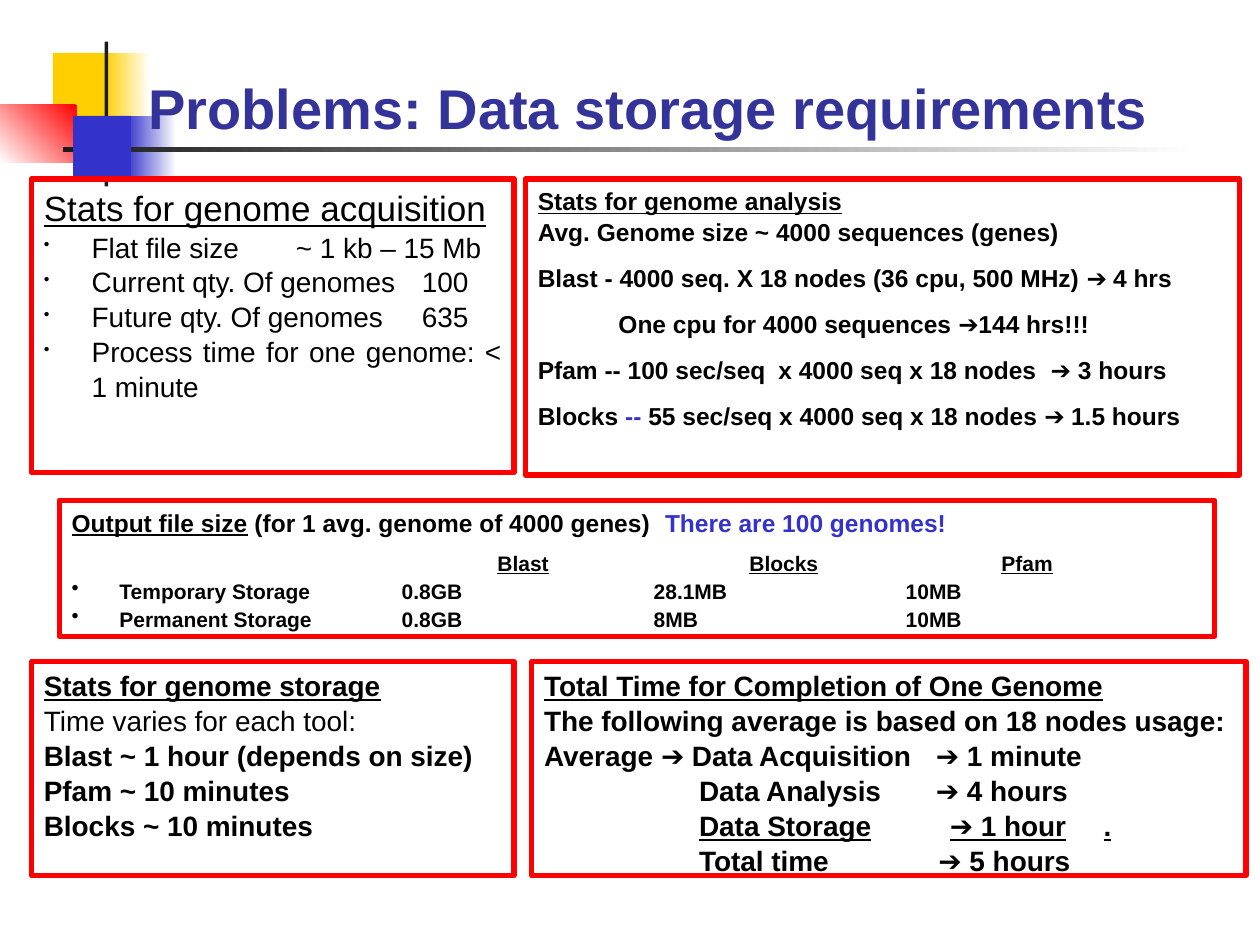
from pptx import Presentation
from pptx.dml.color import RGBColor
from pptx.enum.shapes import MSO_SHAPE
from pptx.enum.text import MSO_ANCHOR, PP_ALIGN
from pptx.oxml.ns import qn
from pptx.util import Inches, Pt
from lxml.etree import SubElement

BLACK = RGBColor(0x00, 0x00, 0x00)
WHITE = RGBColor(0xFF, 0xFF, 0xFF)
RED = RGBColor(0xFF, 0x00, 0x00)
GOLD = RGBColor(0xFF, 0xCF, 0x01)
BLUE = RGBColor(0x33, 0x33, 0xCC)
NAVY = RGBColor(0x33, 0x33, 0x99)
DARK = RGBColor(0x1C, 0x1C, 0x1C)
INDENT = 0.38


def add_rect(slide, box):
    rect = slide.shapes.add_shape(MSO_SHAPE.RECTANGLE, *map(Inches, box))
    rect.shadow.inherit = False
    return rect


def add_block(slide, box, color):
    rect = add_rect(slide, box)
    rect.fill.solid()
    rect.fill.fore_color.rgb = color
    rect.line.fill.background()


def add_fade(slide, box, first, last, angle=180):
    rect = add_rect(slide, box)
    rect.fill.gradient()
    rect.fill.gradient_angle = angle
    for stop, color in zip(rect.fill.gradient_stops, (first, last)):
        stop.color.rgb = color
    rect.line.fill.background()


def add_panel(slide, box):
    rect = add_rect(slide, box)
    rect.fill.background()
    rect.line.color.rgb = RED
    rect.line.width = Pt(3)
    frame = rect.text_frame
    frame.word_wrap = True
    frame.vertical_anchor = MSO_ANCHOR.TOP
    return frame


def add_line(frame, *parts, size=16, bold=True, under=False, color=BLACK,
             tabs=(), bullet=None, left=0, before=0):
    first = frame.paragraphs[0]
    para = frame.add_paragraph() if first.runs else first
    para.alignment = PP_ALIGN.JUSTIFY
    para.line_spacing = 1.04
    para.space_before = Pt(before)
    props = para._p.get_or_add_pPr()
    if bullet:
        left = INDENT
        props.set("indent", str(-Inches(INDENT)))
        SubElement(props, qn("a:buSzPct")).set("val", str(bullet * 1000))
        SubElement(props, qn("a:buChar")).set("char", "•")
    props.set("marL", str(Inches(left)))
    if tabs:
        stops = SubElement(props, qn("a:tabLst"))
        for place in tabs:
            stop = SubElement(stops, qn("a:tab"))
            stop.set("pos", str(Inches(place)))
            stop.set("algn", "l")
    font = para.font
    font.name = "Arial"
    font.size = Pt(size)
    font.bold = bold
    font.underline = under
    font.color.rgb = color
    for part in parts:
        text, line, tint = part if isinstance(part, tuple) else (part, None, None)
        run = para.add_run()
        run.text = text
        if line:
            run.font.underline = True
        if tint is not None:
            run.font.color.rgb = tint


def add_motif(slide, left, top):
    def at(x, y, width, height):
        return left + x, top + y, width, height

    add_block(slide, at(0.42, 0.09, 0.48, 0.52), GOLD)
    add_fade(slide, at(0.83, 0.09, 0.36, 0.52), WHITE, GOLD)
    add_fade(slide, at(1, 0.59, 0.4, 0.52), WHITE, BLUE)
    add_fade(slide, at(0, 0.5, 0.61, 0.46), RED, WHITE, 225)
    add_block(slide, at(0.83, 0, 0.03, 1.15), DARK)
    add_fade(slide, at(0.5, 0.84, 9, 0.04), WHITE, DARK)
    add_block(slide, at(0.58, 0.59, 0.46, 0.52), BLUE)


def add_title(slide, box):
    frame = slide.shapes.add_textbox(*map(Inches, box)).text_frame
    frame.word_wrap = True
    frame.vertical_anchor = MSO_ANCHOR.BOTTOM
    add_line(frame, "Problems: Data storage requirements", size=32, color=NAVY)


def add_intake(slide, box):
    frame = add_panel(slide, box)
    add_line(frame, "Stats for genome acquisition", size=20, bold=False, under=True)
    for text, tabs in (
        ("Flat file size\t~ 1 kb – 15 Mb", [1.29]),
        ("Current qty. Of genomes\t100", [2.6]),
        ("Future qty. Of genomes\t635", [2.44]),
        ("Process time for one genome: < 1 minute", []),
    ):
        add_line(frame, text, bold=False, tabs=tabs, bullet=60)


def add_study(slide, box):
    frame = add_panel(slide, box)
    add_line(frame, "Stats for genome analysis", size=14, under=True)
    add_line(frame, "Avg. Genome size ~ 4000 sequences (genes)", size=14)
    for parts, left, tabs in (
        (["Blast - 4000 seq. X 18 nodes (36 cpu, 500 MHz) ➔ 4 hrs"], 0, []),
        (["One cpu for 4000 sequences ➔144 hrs!!!"], 0.64, []),
        (["Pfam -- 100 sec/seq\tx 4000 seq x 18 nodes\t➔ 3 hours"], 0, [1.91, 4.07]),
        (["Blocks", (" --", False, BLUE),
          " 55 sec/seq x 4000 seq x 18 nodes ➔ 1.5 hours"], 0, []),
    ):
        add_line(frame, *parts, size=14, left=left, tabs=tabs, before=8.8)


def add_store(slide, box):
    frame = add_panel(slide, box)
    add_line(frame, "Stats for genome storage", under=True)
    add_line(frame, "Time varies for each tool:", bold=False)
    for text in ("Blast ~ 1 hour (depends on size)", "Pfam ~ 10 minutes",
                 "Blocks ~ 10 minutes"):
        add_line(frame, text)


def add_total(slide, box):
    frame = add_panel(slide, box)
    add_line(frame, "Total Time for Completion of One Genome", under=True)
    add_line(frame, "The following average is based on 18 nodes usage:")
    add_line(frame, "Average ➔ Data Acquisition\t➔ 1 minute", tabs=[3.11])
    add_line(frame, "\tData Analysis\t➔ 4 hours", tabs=[1.23, 3.11])
    add_line(frame, "\t", ("Data Storage\t➔ 1 hour\t.\t", True, None),
             tabs=[1.23, 3.22, 4.44, 5.19])
    add_line(frame, "\tTotal time\t➔ 5 hours", tabs=[1.23, 3.13])


def add_output(slide, box):
    frame = add_panel(slide, box)
    add_line(frame, ("Output file size", True, None),
             " (for 1 avg. genome of 4000 genes)\t",
             ("There are 100 genomes!", False, BLUE), size=14, tabs=[4.71])
    cols = [3, 5, 7]
    heads = []
    for name in ("Blast", "Blocks", "Pfam"):
        heads += ["\t", (name, True, None)]
    add_line(frame, *heads, size=12, tabs=[x + INDENT for x in cols], before=7)
    for row in (("Temporary Storage", "0.8GB", "28.1MB", "10MB"),
                ("Permanent Storage", "0.8GB", "8MB", "10MB")):
        add_line(frame, "\t".join(row), size=12, bullet=100,
                 tabs=[x - INDENT for x in cols], before=1)


def main():
    deck = Presentation()
    deck.slide_width = Inches(10)
    deck.slide_height = Inches(7.5)
    slide = deck.slides.add_slide(deck.slide_layouts[6])
    add_motif(slide, 0, 0.33)
    add_title(slide, (1.08, 0, 8.25, 1.17))
    add_intake(slide, (0.25, 1.42, 3.83, 2.33))
    add_study(slide, (4.17, 1.42, 5.67, 2.35))
    add_store(slide, (0.25, 5.25, 3.83, 1.7))
    add_total(slide, (4.22, 5.25, 5.67, 1.7))
    add_output(slide, (0.47, 3.97, 9.17, 1.08))
    deck.save("out.pptx")


if __name__ == "__main__":
    main()
